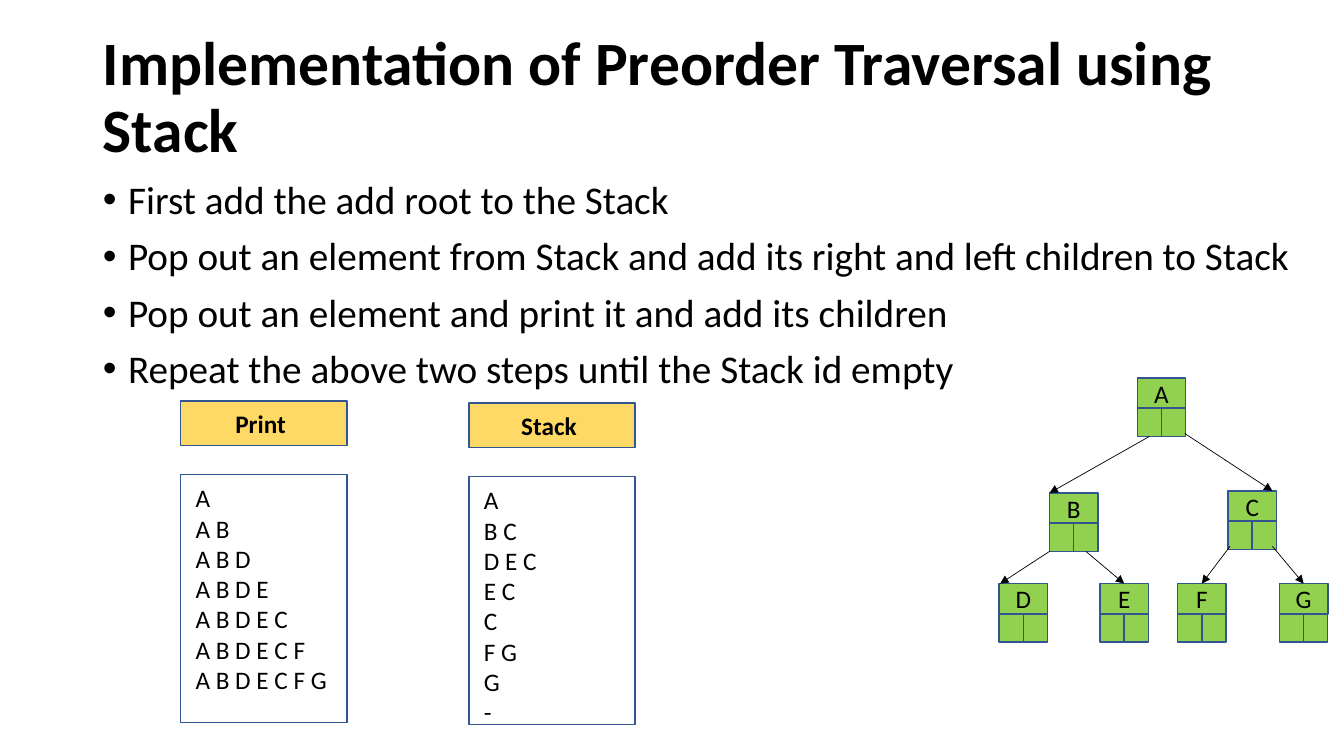
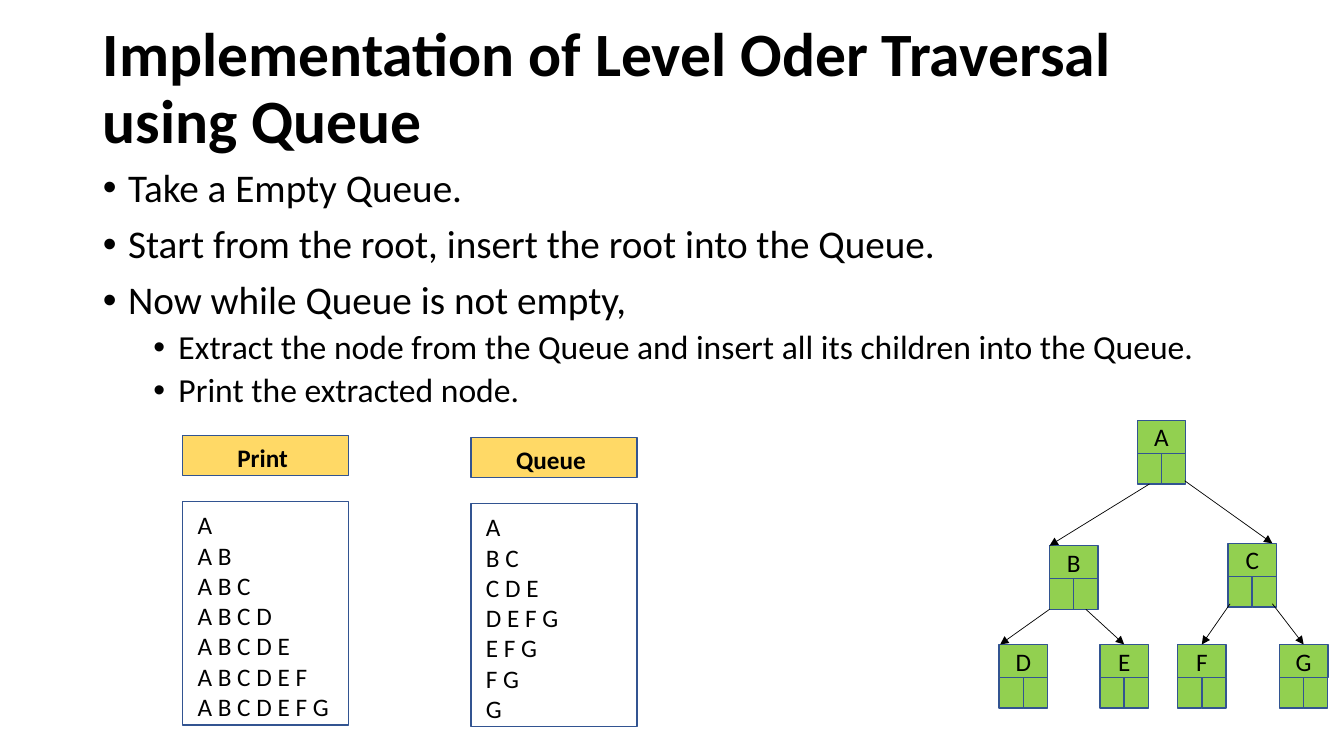
from dataclasses import dataclass

from lxml import etree
from pptx import Presentation
from pptx.dml.color import RGBColor
from pptx.enum.shapes import MSO_CONNECTOR, MSO_SHAPE
from pptx.enum.text import MSO_ANCHOR, MSO_AUTO_SIZE, PP_ALIGN
from pptx.oxml.ns import qn
from pptx.util import Inches, Pt


@dataclass(frozen=True)
class Theme:
    font: str = "Calibri"
    text: RGBColor = RGBColor(0x00, 0x00, 0x00)
    node: RGBColor = RGBColor(0x92, 0xD0, 0x50)
    header: RGBColor = RGBColor(0xFF, 0xD9, 0x66)
    outline: RGBColor = RGBColor(0x32, 0x54, 0x91)
    title_size: int = 44
    bullet_sizes: tuple = (28, 24)
    label_size: int = 18


theme = Theme()


def write_text(frame, lines, size=theme.label_size, bold=False,
               align=PP_ALIGN.LEFT, anchor=MSO_ANCHOR.TOP,
               insets=(0.1, 0.05, 0.1, 0.05), spacing=1.0):
    """Fill a text frame, one paragraph per line."""
    frame.word_wrap = True
    frame.auto_size = MSO_AUTO_SIZE.NONE
    frame.vertical_anchor = anchor
    (frame.margin_left, frame.margin_top,
     frame.margin_right, frame.margin_bottom) = map(Inches, insets)
    for index, line in enumerate(lines):
        paragraph = frame.add_paragraph() if index else frame.paragraphs[0]
        paragraph.alignment = align
        paragraph.line_spacing = spacing
        run = paragraph.add_run()
        run.text = line
        run.font.name = theme.font
        run.font.size = Pt(size)
        run.font.bold = bold
        run.font.color.rgb = theme.text


def add_box(shapes, left, top, width, height, fill=None):
    """Add an outlined rectangle."""
    shape = shapes.add_shape(MSO_SHAPE.RECTANGLE, Inches(left), Inches(top),
                             Inches(width), Inches(height))
    shape.shadow.inherit = False
    shape.line.color.rgb = theme.outline
    shape.line.width = Pt(1)
    if fill is None:
        shape.fill.background()
    else:
        shape.fill.solid()
        shape.fill.fore_color.rgb = fill
    return shape


# Tree: node position (left, top below the root) and the edges between nodes
node_width, label_height, link_height = 0.48, 0.3, 0.28
nodes = {
    "A": (11.28, 0), "B": (10.41, 1.14), "C": (12.18, 1.12),
    "D": (9.91, 2.04), "E": (10.91, 2.04), "F": (11.68, 2.04), "G": (12.69, 2.04),
}
# parent, offset of the start from its corner, child, offset of the tip along its top
edges = [
    ("A", 0.12, 0.58, "B", 0), ("A", 0.47, 0.55, "C", 0.44),
    ("B", 0, 0.58, "D", 0.01), ("B", 0.36, 0.58, "E", 0.24),
    ("C", 0.02, 0.55, "F", 0.24), ("C", 0.44, 0.55, "G", 0.24),
]

# Panels: a header above a list of steps
panel_width, panel_step, panel_drop = 1.65, 2.86, 0.02
header_height, list_offset, list_height = 0.44, 0.73, 2.46

# Content of the slides; each bullet is (level, text)
slides = [
    dict(
        title="Implementation of Preorder Traversal using Stack",
        title_top=0.26, body=(1.74, 12.32, 5.61),
        bullets=[
            (0, "First add the add root to the Stack"),
            (0, "Pop out an element from Stack and add its right and left children to Stack"),
            (0, "Pop out an element and print it and add its children"),
            (0, "Repeat the above two steps until the Stack id empty"),
        ],
        tree_top=3.75, tree_scale=1, panel_left=1.79, panel_top=3.98, panel_scale=1,
        panels={
            "Print": ["A", "A B", "A B D", "A B D E", "A B D E C",
                      "A B D E C F", "A B D E C F G"],
            "Stack": ["A", "B C", "D E C", "E C", "C", "F G", "G", "-"],
        },
    ),
    dict(
        title="Implementation of Level Oder Traversal using Queue",
        title_top=0.17, body=(1.62, 11.5, 5.13),
        bullets=[
            (0, "Take a Empty Queue."),
            (0, "Start from the root, insert the root into the Queue."),
            (0, "Now while Queue is not empty,"),
            (1, "Extract the node from the Queue and insert all its children into the Queue."),
            (1, "Print the extracted node."),
        ],
        tree_top=4.17, tree_scale=1.09, panel_left=1.81, panel_top=4.32, panel_scale=0.9,
        panels={
            "Print": ["A", "A B", "A B C", "A B C D", "A B C D E",
                      "A B C D E F", "A B C D E F G"],
            "Queue": ["A", "B C", "C D E", "D E F G", "E F G", "F G", "G"],
        },
    ),
]

presentation = Presentation()
presentation.slide_width = Inches(13.33)
presentation.slide_height = Inches(7.5)

for content in slides:
    slide = presentation.slides.add_slide(presentation.slide_layouts[1])

    # Title
    title = slide.shapes.title
    title.left, title.top = Inches(0.92), Inches(content["title_top"])
    title.width, title.height = Inches(11.5), Inches(1.45)
    write_text(title.text_frame, [content["title"]], size=theme.title_size, bold=True,
               anchor=MSO_ANCHOR.MIDDLE, spacing=0.9)

    # Bullets
    body = slide.placeholders[1]
    body_top, body_width, body_height = content["body"]
    body.left, body.top = Inches(0.92), Inches(body_top)
    body.width, body.height = Inches(body_width), Inches(body_height)
    write_text(body.text_frame, [text for level, text in content["bullets"]], spacing=0.9)
    for paragraph, (level, text) in zip(body.text_frame.paragraphs, content["bullets"]):
        paragraph.level = level
        paragraph.space_before = Pt(5 if level else 10)
        paragraph.runs[0].font.size = Pt(theme.bullet_sizes[level])
        properties = paragraph._p.get_or_add_pPr()
        properties.set("marL", str(Inches(0.25 + 0.5 * level)))
        properties.set("indent", str(Inches(-0.25)))
        etree.SubElement(properties, qn("a:buFont"), typeface="Arial")
        etree.SubElement(properties, qn("a:buChar"), char="•")

    # Tree nodes: a label above two link cells
    tree = slide.shapes.add_group_shape()
    tree_top, scale = content["tree_top"], content["tree_scale"]
    for name, (left, offset) in nodes.items():
        top = tree_top + offset * scale
        label = add_box(tree.shapes, left, top, node_width, label_height * scale, theme.node)
        write_text(label.text_frame, [name], align=PP_ALIGN.CENTER,
                   anchor=MSO_ANCHOR.MIDDLE, insets=(0, 0, 0, 0))
        for side in range(2):
            add_box(tree.shapes, left + side * node_width / 2, top + label_height * scale,
                    node_width / 2, link_height * scale, theme.node)

    # Tree arrows
    for parent, start_x, start_y, child, tip_x in edges:
        parent_left, parent_top = nodes[parent]
        child_left, child_top = nodes[child]
        arrow = tree.shapes.add_connector(
            MSO_CONNECTOR.STRAIGHT,
            Inches(parent_left + start_x), Inches(tree_top + (parent_top + start_y) * scale),
            Inches(child_left + tip_x), Inches(tree_top + child_top * scale))
        arrow.line.color.rgb = theme.text
        arrow.line.width = Pt(0.5)
        etree.SubElement(arrow.line._get_or_add_ln(), qn("a:tailEnd"), type="triangle")
        etree.SubElement(arrow._element.spPr, qn("a:effectLst"))

    # Panels
    panels = slide.shapes.add_group_shape()
    scale = content["panel_scale"]
    for column, (heading, steps) in enumerate(content["panels"].items()):
        left = content["panel_left"] + column * panel_step
        top = content["panel_top"] + column * panel_drop
        header = add_box(panels.shapes, left, top, panel_width, header_height * scale,
                         theme.header)
        write_text(header.text_frame, [heading], bold=True, align=PP_ALIGN.CENTER,
                   insets=(0.1, 0.07, 0.16, 0))
        step_list = add_box(panels.shapes, left, top + list_offset * scale,
                            panel_width, list_height * scale)
        write_text(step_list.text_frame, steps, insets=(0.15, 0.08, 0, 0))

presentation.save("out.pptx")
